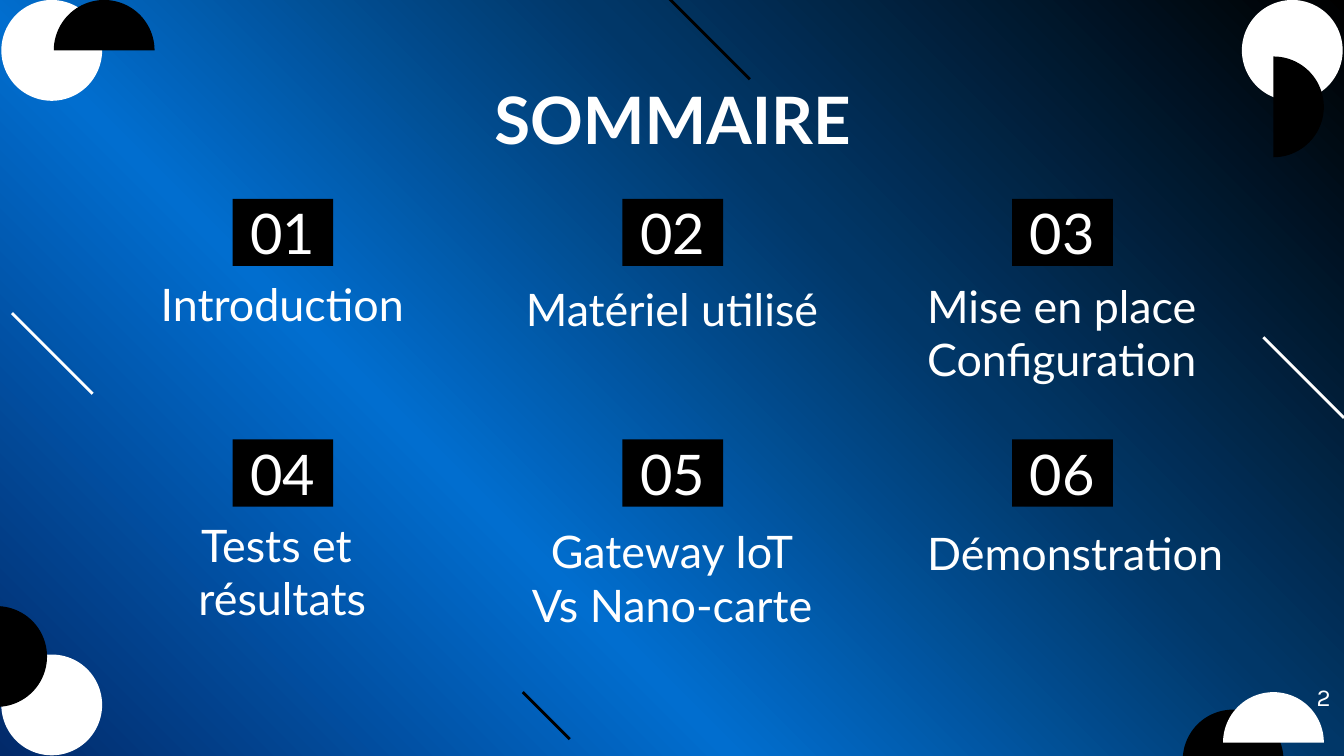
from copy import deepcopy

from lxml import etree
from pptx import Presentation
from pptx.dml.color import RGBColor
from pptx.enum.shapes import MSO_CONNECTOR, MSO_SHAPE
from pptx.enum.text import MSO_ANCHOR, MSO_AUTO_SIZE, PP_ALIGN
from pptx.oxml.ns import qn
from pptx.util import Inches, Pt

CENTER, RIGHT = PP_ALIGN.CENTER, PP_ALIGN.RIGHT
TOP, MIDDLE, BOTTOM = MSO_ANCHOR.TOP, MSO_ANCHOR.MIDDLE, MSO_ANCHOR.BOTTOM
NO_FIT = MSO_AUTO_SIZE.NONE
ELLIPSE, PIE, RECTANGLE = MSO_SHAPE.OVAL, MSO_SHAPE.PIE, MSO_SHAPE.RECTANGLE
STRAIGHT = MSO_CONNECTOR.STRAIGHT

COLORS = {"white": "FFFFFF", "black": "000000"}
GRADIENT = [(0, "000000"), (0.36, "013768"), (0.65, "016ECF"), (1, "022A6A")]

DISC = 0.75
LEFT_HALF, RIGHT_HALF = (54, 162), (162, 54)
ORNAMENTS = [
    (0.01, 0, "white", None, 0),
    (0.4, 0, "black", LEFT_HALF, 90),
    (8.8, 5.28, "black", LEFT_HALF, 90),
    (9.1, 5.15, "white", LEFT_HALF, 90),
    (0.01, 4.87, "white", None, 0),
    (9.24, 0, "white", None, 0),
    (9.1, 0.42, "black", RIGHT_HALF, 0),
    (-0.4, 4.51, "black", RIGHT_HALF, 0),
]
DIAGONALS = [
    (9.4, 2.51, 0.6, "white"),
    (0.09, 2.33, 0.6, "white"),
    (3.89, 5.15, 0.35, "black"),
    (4.28, -0.71, 1.3, "black"),
]

GRID_LEFT, GRID_TOP, COLUMN_STEP, ROW_STEP = 1.73, 1.48, 2.9, 1.79
CHAPTERS = [
    (["Introduction"], (0.85, 1.98, 2.5, 0.58)),
    (["Matériel utilisé"], (3.7, 2.1, 2.6, 0.5)),
    (["Mise en place", "Configuration"], (6.21, 2.05, 3.38, 0.92)),
    (["Tests et ", "résultats"], (0.53, 4.02, 3.14, 0.73)),
    (["Gateway IoT", "Vs Nano-carte"], (3.49, 3.97, 3.02, 0.83)),
    (["Démonstration"], (6.6, 3.91, 2.8, 0.5)),
]


def rgb(name):
    return RGBColor.from_string(COLORS[name])


def set_background(slide):
    fill = slide.background.fill
    fill.gradient()
    fill.gradient_angle = 225
    stop_list = slide.element.find(".//" + qn("a:gsLst"))
    for _ in range(len(GRADIENT) - len(stop_list)):
        stop_list.append(deepcopy(stop_list[0]))
    for stop, (position, color) in zip(fill.gradient_stops, GRADIENT):
        stop.position = position
        stop.color.rgb = RGBColor.from_string(color)


def add_solid(slide, kind, box, color):
    solid = slide.shapes.add_shape(kind, *map(Inches, box))
    solid.shadow.inherit = False
    solid.fill.solid()
    solid.fill.fore_color.rgb = rgb(color)
    solid.line.fill.background()
    return solid


def add_ornament(slide, left, top, color, angles, rotation):
    kind = PIE if angles else ELLIPSE
    ornament = add_solid(slide, kind, (left, top, DISC, DISC), color)
    ornament.rotation = rotation
    for index, angle in enumerate(angles or ()):
        ornament.adjustments[index] = angle


def add_diagonal(slide, left, top, span, color):
    ends = map(Inches, (left, top, left + span, top + span))
    diagonal = slide.shapes.add_connector(STRAIGHT, *ends)
    diagonal.line.color.rgb = rgb(color)
    diagonal.line.width = Pt(1.5)
    etree.SubElement(diagonal.element.spPr, qn("a:effectLst"))


def write(holder, lines, size, anchor, align=CENTER, font="Lato", bold=False):
    frame = holder.text_frame
    frame_format = {"word_wrap": True, "auto_size": NO_FIT, "vertical_anchor": anchor}
    for side in ("left", "right", "top", "bottom"):
        frame_format["margin_" + side] = Inches(0.1)
    for name, value in frame_format.items():
        setattr(frame, name, value)
    frame.text = "\n".join(lines)
    for paragraph in frame.paragraphs:
        paragraph.alignment = align
        paragraph.line_spacing = 1.0
        paragraph.space_before = Pt(0)
        for name, value in {"name": font, "size": Pt(size), "bold": bold}.items():
            setattr(paragraph.font, name, value)
        paragraph.font.color.rgb = rgb("white")


def add_text(slide, box, *content, **text_format):
    label = slide.shapes.add_textbox(*map(Inches, box))
    write(label, *content, **text_format)


def set_title(slide, text):
    title = slide.shapes.title
    place = {"left": 0.79, "top": 0.49, "width": 8.43, "height": 0.63}
    for name, value in place.items():
        setattr(title, name, Inches(value))
    write(title, [text], 35, TOP, bold=True)


def add_chapter(slide, index, lines, label_box):
    row, column = divmod(index, 3)
    left = GRID_LEFT + column * COLUMN_STEP
    top = GRID_TOP + row * ROW_STEP
    number = add_solid(slide, RECTANGLE, (left, top, 0.75, 0.5), "black")
    write(number, [f"{index + 1:02d}"], 30, MIDDLE)
    add_text(slide, label_box, lines, 24, BOTTOM)


def main():
    deck = Presentation()
    deck.slide_width = Inches(10)
    deck.slide_height = deck.slide_width * 9 // 16
    slide = deck.slides.add_slide(deck.slide_layouts[5])
    set_background(slide)
    for ornament in ORNAMENTS:
        add_ornament(slide, *ornament)
    for diagonal in DIAGONALS:
        add_diagonal(slide, *diagonal)
    set_title(slide, "SOMMAIRE")
    for index, (lines, label_box) in enumerate(CHAPTERS):
        add_chapter(slide, index, lines, label_box)
    add_text(slide, (9.4, 4.98, 0.6, 0.43), ["2"], 13, TOP, align=RIGHT, font="Karla")
    deck.save("out.pptx")


if __name__ == "__main__":
    main()
